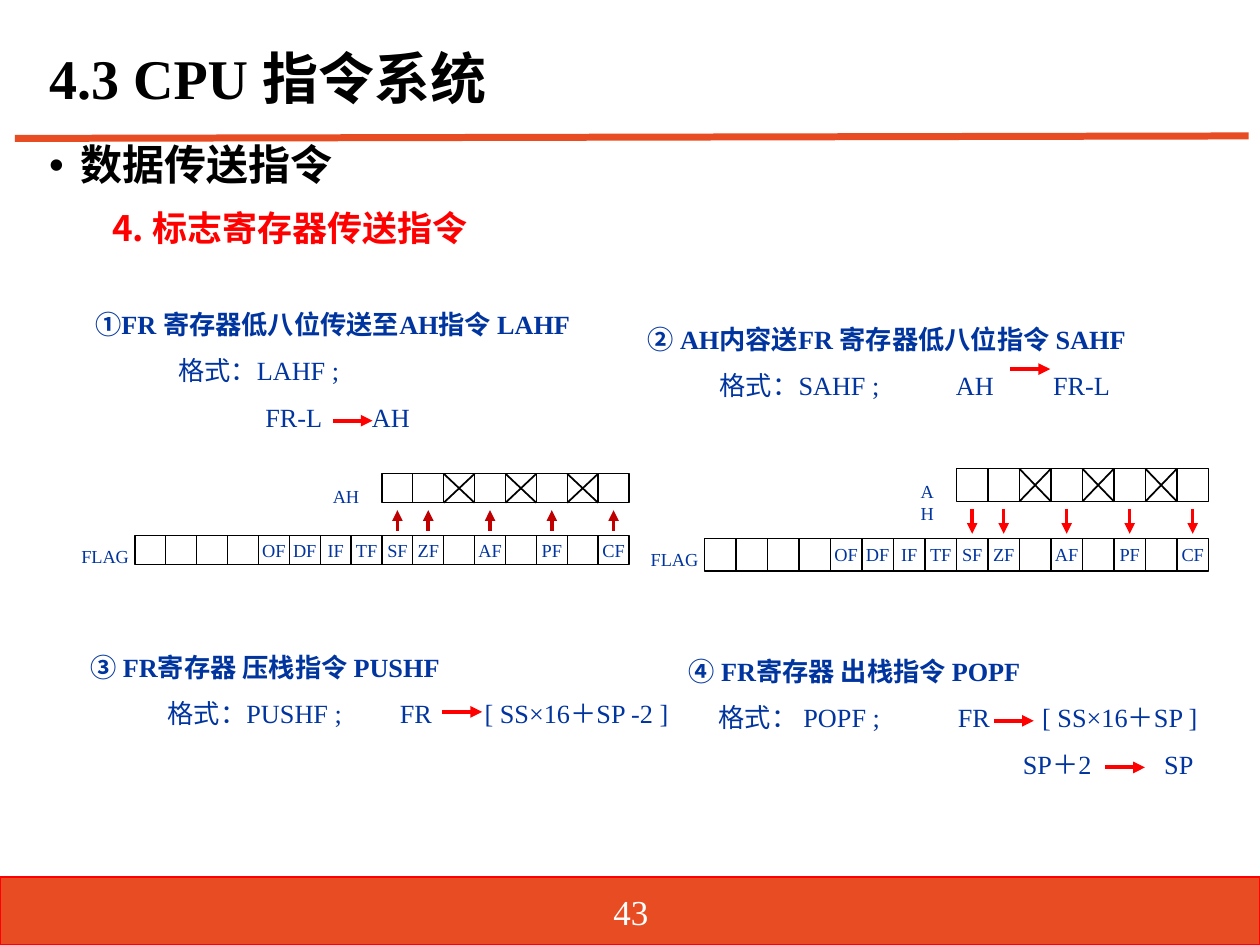
import pptx
import pptx.dml.color
import pptx.enum.shapes
import pptx.enum.text
import pptx.oxml.ns
import pptx.util
from lxml import etree

Cm, Pt = pptx.util.Cm, pptx.util.Pt
RGBColor = pptx.dml.color.RGBColor
ALIGN = pptx.enum.text.PP_ALIGN
ANCHOR = pptx.enum.text.MSO_ANCHOR
qn = pptx.oxml.ns.qn

ORANGE = RGBColor(0xE8, 0x4C, 0x22)
RED = RGBColor(0xFF, 0x00, 0x00)
DARK_RED = RGBColor(0xC0, 0x00, 0x00)
BLUE = RGBColor(0x00, 0x34, 0x9E)
BLACK = RGBColor(0x00, 0x00, 0x00)
WHITE = RGBColor(0xFF, 0xFF, 0xFF)
TIMES = "Times New Roman"
NOTO = "Noto Sans CJK SC"

FLAGS = {4: "OF", 5: "DF", 6: "IF", 7: "TF", 8: "SF", 9: "ZF", 11: "AF", 13: "PF", 15: "CF"}
UNUSED_BITS = (2, 4, 6)
COPIED_BITS = (0, 1, 3, 5, 7)


def add_line(slide, x1, y1, x2, y2, color, weight, arrow=False):
    """Draw a straight line in centimetres, optionally with an arrowhead at its end."""
    line = slide.shapes.add_connector(
        pptx.enum.shapes.MSO_CONNECTOR.STRAIGHT, Cm(x1), Cm(y1), Cm(x2), Cm(y2))
    line.line.color.rgb = color
    line.line.width = Pt(weight)
    if arrow:
        etree.SubElement(line.line._get_or_add_ln(), qn("a:tailEnd"), type="triangle")
    etree.SubElement(line._element.spPr, qn("a:effectLst"))


def add_rect(slide, left, top, width, height, color, weight, fill=None):
    """Draw a flat rectangle, hollow unless a fill is given."""
    rect = slide.shapes.add_shape(
        pptx.enum.shapes.MSO_SHAPE.RECTANGLE, Cm(left), Cm(top), Cm(width), Cm(height))
    rect.shadow.inherit = False
    if fill is None:
        rect.fill.background()
    else:
        rect.fill.solid()
        rect.fill.fore_color.rgb = fill
    rect.line.color.rgb = color
    rect.line.width = Pt(weight)


def add_frame(slide, left, top, width, height, anchor=ANCHOR.TOP, inset=True, wrap=True):
    """Add a text box and return its text frame."""
    frame = slide.shapes.add_textbox(Cm(left), Cm(top), Cm(width), Cm(height)).text_frame
    frame.word_wrap = wrap
    frame.vertical_anchor = anchor
    if not inset:
        frame.margin_left = frame.margin_right = frame.margin_top = frame.margin_bottom = 0
    return frame


def style(paragraph, size, color, bold=False, font=TIMES, align=ALIGN.LEFT):
    """Set the font and alignment of a paragraph."""
    paragraph.alignment = align
    paragraph.font.size = Pt(size)
    paragraph.font.color.rgb = color
    paragraph.font.bold = bold
    if font:
        paragraph.font.name = font


def header(slide, left, top, width, height):
    """Place the slide title and the rule under it."""
    title = add_frame(slide, left, top, width, height, ANCHOR.MIDDLE).paragraphs[0]
    title.text = "4.3 CPU 指令系统"
    title.line_spacing = 0.9
    style(title, 32, BLACK, True)
    add_line(slide, left - 0.44, top + 2.26, left + 24.43, top + 2.21, ORANGE, 4)


def topic(slide, left, top, width, height):
    """Place the bulleted topic and its subtopic."""
    frame = add_frame(slide, left, top, width, height)
    subject = frame.paragraphs[0]
    subject.text = "数据传送指令"
    props = subject._p.get_or_add_pPr()
    props.set("marL", str(Cm(0.64)))
    props.set("indent", str(-Cm(0.64)))
    etree.SubElement(props, qn("a:buFont"), typeface="Arial")
    etree.SubElement(props, qn("a:buChar"), char="•")
    style(subject, 24, BLACK, True)

    subtopic = frame.add_paragraph()
    subtopic.text = "4. 标志寄存器传送指令"
    subtopic._p.get_or_add_pPr().set("marL", str(Cm(1.27)))
    subtopic.space_before = Pt(12)
    style(subtopic, 20, RED, True, NOTO)
    for paragraph in frame.paragraphs:
        paragraph.line_spacing = 0.9


def instruction(slide, left, top, width, height, mark, heading, lines, arrows):
    """Place an instruction heading, its tabbed format lines and inline arrows."""
    frame = add_frame(slide, left, top, width, height, inset=False, wrap=False)
    title = frame.paragraphs[0]
    for text, font in ((mark, NOTO), (heading, TIMES)):
        run = title.add_run()
        run.text = text
        run.font.name = font
    style(title, 15, BLUE, True, None)
    for cells in lines:
        detail = frame.add_paragraph()
        detail.text = "".join("\t" + text for _, text in cells)
        tabs = etree.SubElement(detail._p.get_or_add_pPr(), qn("a:tabLst"))
        for position, _ in cells:
            etree.SubElement(tabs, qn("a:tab"), pos=str(Cm(position)), algn="l")
        style(detail, 15, BLUE)
    for paragraph in frame.paragraphs:
        paragraph.line_spacing = Pt(26.5)
    for x, y in arrows:
        add_line(slide, left + x, top + y, left + x + 0.8, top + y, RED, 2.25, True)


def register_row(slide, left, top, cell, height, count):
    """Draw a row of equal bit cells."""
    add_rect(slide, left, top, cell * count, height, BLACK, 0.75)
    for bit in range(1, count):
        x = left + bit * cell
        add_line(slide, x, top, x, top + height, BLACK, 0.75)


def flag_transfer(slide, left, top, width, height, ah_width, color, upward):
    """Draw AH above the flag register, with arrows for the copied bits."""
    cell, row = width / 16, height * 0.32
    ah_left, flag_top = left + width / 2, top + height - row
    register_row(slide, left, flag_top, cell, row, 16)
    register_row(slide, ah_left, top, cell, row, 8)
    for bit, name in FLAGS.items():
        flag = add_frame(slide, left + bit * cell, flag_top, cell, row,
                         ANCHOR.MIDDLE, False, False).paragraphs[0]
        flag.text = name
        style(flag, 10.5, BLUE, align=ALIGN.CENTER)
    for bit in UNUSED_BITS:
        x = ah_left + bit * cell
        add_line(slide, x, top, x + cell, top + row, BLACK, 1)
        add_line(slide, x + cell, top, x, top + row, BLACK, 1)
    for bit in COPIED_BITS:
        x = ah_left + (bit + 0.5) * cell
        ends = (top + row + 0.15, flag_top - 0.09)
        start, end = reversed(ends) if upward else ends
        add_line(slide, x, start, x, end, color, 2, True)
    for name, right, y, box_width, align in (
            ("AH", ah_left, top + 0.1, ah_width, ALIGN.LEFT),
            ("FLAG", left + 0.13, flag_top + 0.07, 1.57, ALIGN.RIGHT)):
        label = add_frame(slide, right - box_width, y, box_width, 0.71).paragraphs[0]
        label.text = name
        style(label, 10.5, BLUE, align=align)


def footer(slide, left, top, width, height):
    """Place the footer band and the page number."""
    add_rect(slide, left, top, width, height, RED, 0, ORANGE)
    number = add_frame(slide, left + 9.86, top + 0.18, 5.72, 1.02, ANCHOR.MIDDLE).paragraphs[0]
    number.text = "43"
    style(number, 20, WHITE, align=ALIGN.CENTER)


def main():
    """Build and save the slide."""
    deck = pptx.Presentation()
    deck.slide_width, deck.slide_height = Cm(25.4), Cm(19.05)
    slide = deck.slides.add_slide(deck.slide_layouts[6])
    footer(slide, 0, 17.68, 25.4, 1.37)
    header(slide, 0.74, 0.53, 23.98, 2.24)
    topic(slide, 0.74, 2.79, 23.98, 2.8)
    instruction(slide, 1.92, 5.91, 10.5, 2.8, "①", "FR 寄存器低八位传送至AH指令 LAHF",
                [[(1.67, "格式：LAHF ;")], [(3.43, "FR-L"), (5.58, "AH")]], [(4.79, 2.57)])
    instruction(slide, 13.06, 6.21, 10.5, 1.9, "② ", "AH内容送FR 寄存器低八位指令 SAHF",
                [[(1.45, "格式：SAHF ;"), (6.21, "AH"), (8.17, "FR-L")]], [(7.31, 1.23)])
    instruction(slide, 1.83, 12.83, 12, 1.9, "③ ", "FR寄存器 压栈指令 PUSHF",
                [[(1.55, "格式：PUSHF ;"), (6.23, "FR"), (7.94, "[ SS×16＋SP -2 ]")]],
                [(7.09, 1.52)])
    instruction(slide, 13.89, 12.91, 10.8, 2.8, "④ ", "FR寄存器 出栈指令 POPF",
                [[(0.6, "格式： POPF ;"), (5.42, "FR"), (7.12, "[ SS×16＋SP ]")],
                 [(6.73, "SP＋2"), (9.58, "SP")]], [(6.15, 1.62), (8.39, 2.56)])
    flag_transfer(slide, 2.72, 9.55, 9.96, 1.83, 1.24, DARK_RED, True)
    flag_transfer(slide, 14.2, 9.45, 10.16, 2.06, 0.97, RED, False)
    deck.save("out.pptx")


if __name__ == "__main__":
    main()
